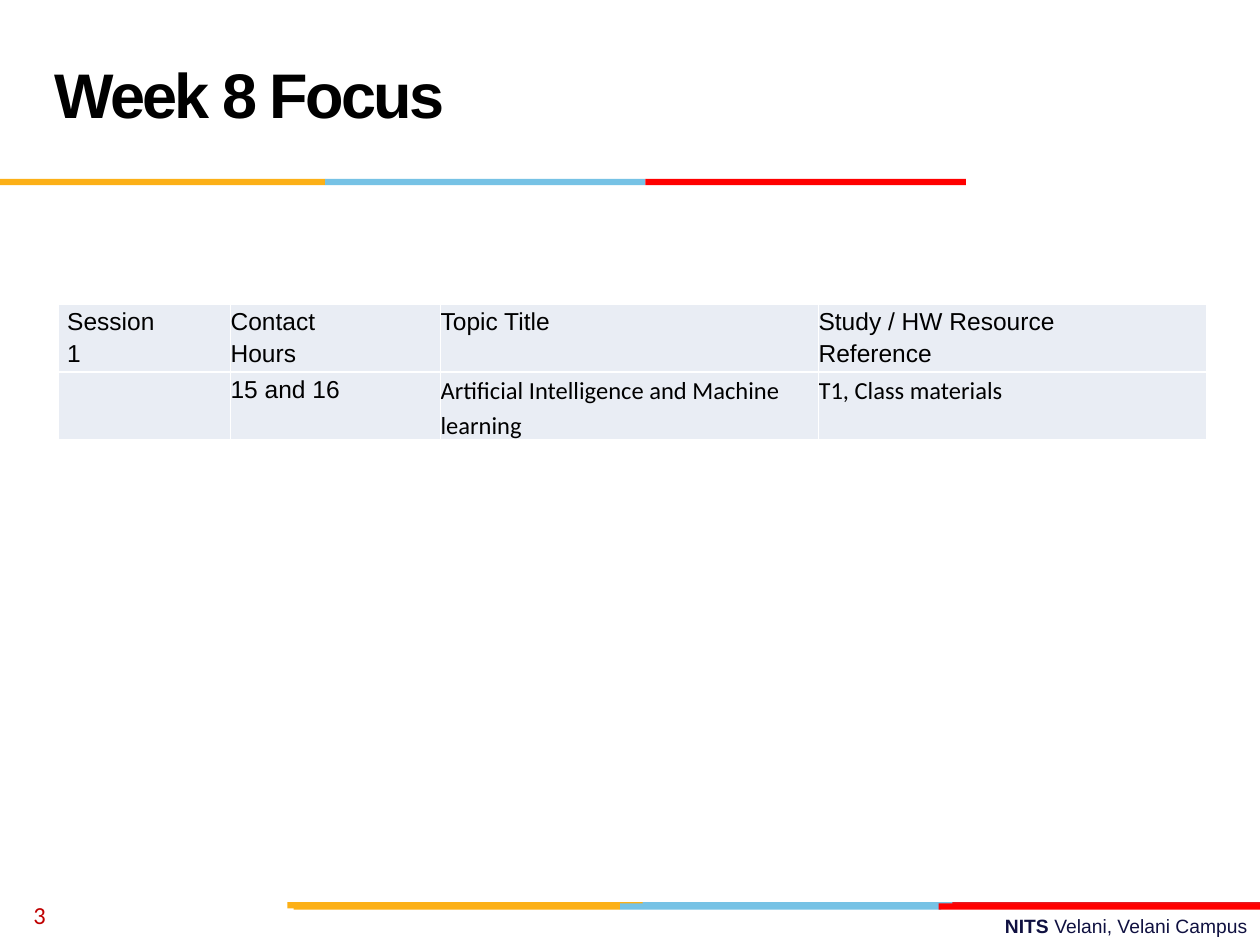
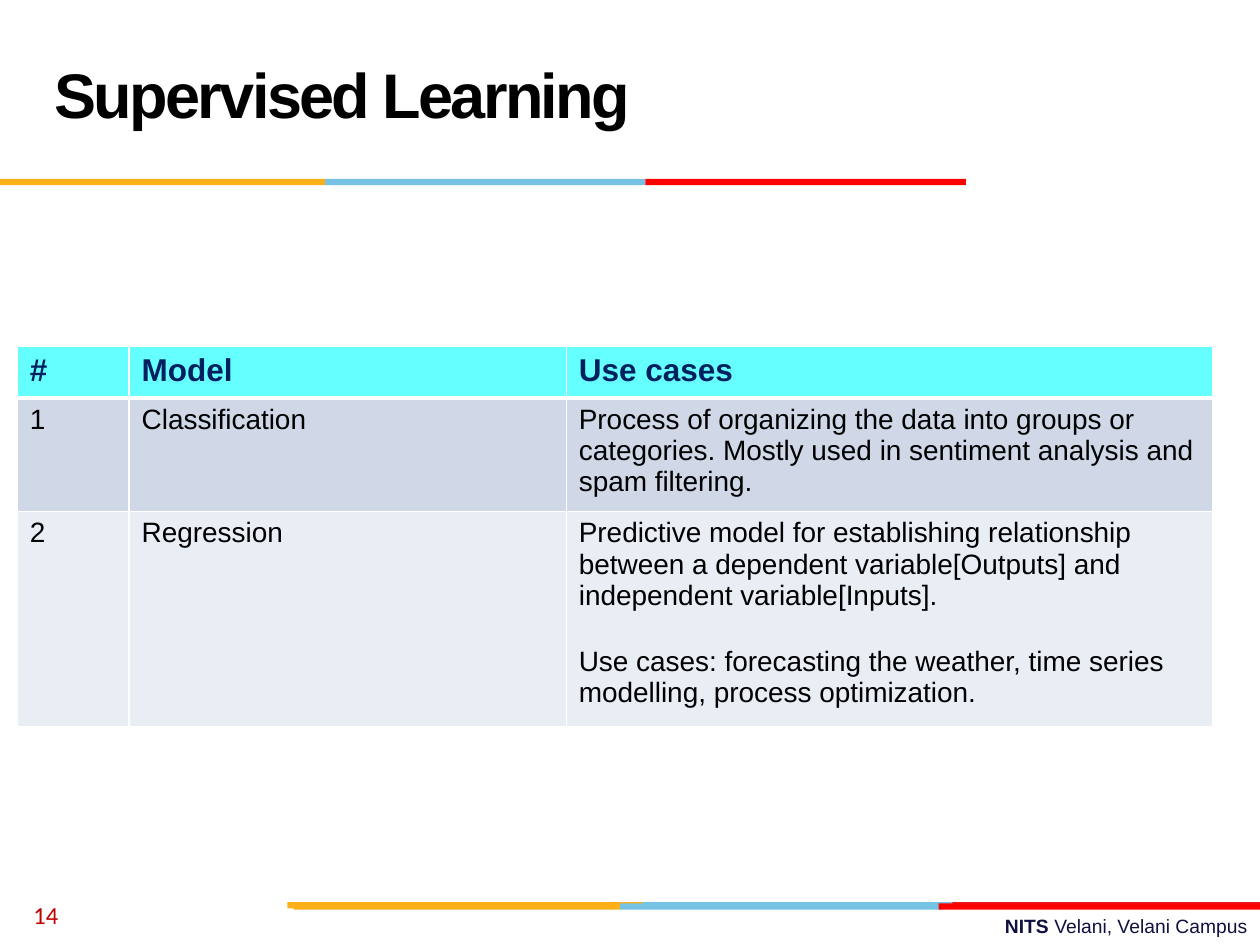
from lxml.etree import SubElement
from pptx import Presentation
from pptx.dml.color import RGBColor
from pptx.enum.shapes import MSO_SHAPE
from pptx.enum.text import MSO_ANCHOR, PP_ALIGN
from pptx.oxml import parse_xml
from pptx.oxml.ns import nsdecls, qn
from pptx.util import Pt

GOLD = RGBColor(0xFC, 0xB0, 0x17)
SKY = RGBColor(0x76, 0xC2, 0xE5)
RED = RGBColor(0xFF, 0x00, 0x00)
CRIMSON = RGBColor(0xE3, 0x1C, 0x24)
MAROON = RGBColor(0xC0, 0x00, 0x00)
INK = RGBColor(0x10, 0x11, 0x41)
NAVY = RGBColor(0x00, 0x20, 0x60)
BLACK = RGBColor(0x00, 0x00, 0x00)
WHITE = RGBColor(0xFF, 0xFF, 0xFF)
AQUA = RGBColor(0x66, 0xFF, 0xFF)
DARK = RGBColor(0xD0, 0xD8, 0xE8)
LIGHT = RGBColor(0xE9, 0xED, 0xF4)

WIDE, TALL = 720, 540
BAR = 3.6
TOP_BAND = [(0, 185.8, GOLD), (185.8, 183, SKY), (368.8, 183.2, RED)]
BACK_BAND = [(364.3, 183.6, SKY), (544.3, 175.7, CRIMSON), (164.2, 203, GOLD)]
FRONT_BAND = [(354.2, 183.6, SKY), (167.8, 186.4, GOLD), (536.4, 183.6, RED)]

FOCUS = [
    ["Session\v1", "Contact\vHours", "Topic Title", "Study / HW Resource\vReference"],
    ["", "15 and 16", "Artificial Intelligence and Machine learning", "T1, Class materials"],
]
MODELS = [
    ["#", "Model", "Use cases"],
    ["1", "Classification",
     "Process of organizing the data into groups or categories. "
     "Mostly used in sentiment analysis and spam filtering."],
    ["2", "Regression",
     "Predictive model for establishing relationship between a dependent "
     "variable[Outputs] and independent variable[Inputs].\n"
     "Use cases: forecasting the weather, time series modelling, process optimization."],
]


def style(run, size, color, bold=False, face="Arial"):
    font = run.font
    font.name, font.size, font.bold = face, Pt(size), bold
    font.color.rgb = color


def add_band(slide, top, parts):
    for left, width, color in parts:
        bar = slide.shapes.add_shape(
            MSO_SHAPE.RECTANGLE, Pt(left), Pt(top), Pt(width), Pt(BAR))
        bar.shadow.inherit = False
        bar.fill.solid()
        bar.fill.fore_color.rgb = color
        bar.line.fill.background()


def add_text(slide, text, left, top, width, height, anchor=MSO_ANCHOR.MIDDLE):
    frame = slide.shapes.add_textbox(
        Pt(left), Pt(top), Pt(width), Pt(height)).text_frame
    frame.word_wrap = True
    frame.vertical_anchor = anchor
    frame.text = text
    return frame.paragraphs[0]


def add_title(slide, text):
    para = add_text(slide, text, 24, 12, 672, 90)
    para.line_spacing = Pt(36)
    run = para.runs[0]
    style(run, 36, BLACK, True)
    run.font._element.set("spc", "-150")


def add_foot(slide, number):
    para = add_text(slide, "NITS ", 258, 519, 462, 21, MSO_ANCHOR.TOP)
    para.alignment = PP_ALIGN.RIGHT
    style(para.runs[0], 11, INK, True)
    campus = para.add_run()
    campus.text = "Velani, Velani Campus"
    style(campus, 11, INK)
    add_band(slide, 515.5, BACK_BAND)
    add_band(slide, 516.2, FRONT_BAND)
    para = add_text(slide, str(number), 12, 508.5, 168, 28.75)
    style(para.runs[0], 14, MAROON, face="Calibri")


def add_slide(deck, title, number):
    slide = deck.slides.add_slide(deck.slide_layouts[6])
    add_foot(slide, number)
    add_band(slide, 102.2, TOP_BAND)
    add_title(slide, title)
    return slide


def add_edges(cell, top=1, bottom=1):
    props = cell._tc.get_or_add_tcPr()
    widths = {"lnL": 1, "lnR": 1, "lnT": top, "lnB": bottom}
    for spot, (tag, width) in enumerate(widths.items()):
        line = parse_xml(f'<a:{tag} {nsdecls("a")} w="{Pt(width)}"/>')
        fill = SubElement(line, qn("a:solidFill"))
        SubElement(fill, qn("a:srgbClr"), val=str(WHITE))
        props.insert(spot, line)


def add_grid(slide, left, top, widths, heights, data):
    table = slide.shapes.add_table(
        len(heights), len(widths), Pt(left), Pt(top),
        Pt(sum(widths)), Pt(sum(heights))).table
    table.first_row = table.horz_banding = False
    for col, width in zip(table.columns, widths):
        col.width = Pt(width)
    for row, height, texts in zip(table.rows, heights, data):
        row.height = Pt(height)
        for cell, text in zip(row.cells, texts):
            cell.text_frame.text = text
    return table


def paint(cell, fill, size, color=BLACK, bold=False, face="Arial"):
    cell.fill.solid()
    cell.fill.fore_color.rgb = fill
    for para in cell.text_frame.paragraphs:
        para.font.size = Pt(size)
        for run in para.runs:
            style(run, size, color, bold, face)


def add_focus(slide):
    table = add_grid(slide, 33.4, 174, [98.4, 120, 216, 222], [38.6, 38.6], FOCUS)
    for y, row in enumerate(table.rows):
        for x, cell in enumerate(row.cells):
            topic = y == 1 and x > 1
            paint(cell, LIGHT, 14, face="Calibri" if topic else "Arial")
            add_edges(cell)
            cell.margin_top = cell.margin_bottom = 0
            cell.margin_left = cell.margin_right = Pt(0 if x else 5)
            para = cell.text_frame.paragraphs[0]
            para.line_spacing = 1.15
            if topic:
                para.space_after = Pt(10)


def add_models(slide):
    table = add_grid(slide, 9.8, 198, [64, 249.8, 369.4], [29.5, 64.5, 122], MODELS)
    for y, row in enumerate(table.rows):
        for cell in row.cells:
            if y == 0:
                paint(cell, AQUA, 18, NAVY, True)
            else:
                paint(cell, DARK if y % 2 else LIGHT, 16)
            add_edges(cell, 3 if y == 1 else 1, 3 if y == 0 else 1)
            for para in cell.text_frame.paragraphs[1:]:
                para.space_before = Pt(20)


def main():
    deck = Presentation()
    deck.slide_width, deck.slide_height = Pt(WIDE), Pt(TALL)
    add_focus(add_slide(deck, "Week 8 Focus", 3))
    add_models(add_slide(deck, "Supervised Learning", 14))
    deck.save("out.pptx")


if __name__ == "__main__":
    main()
